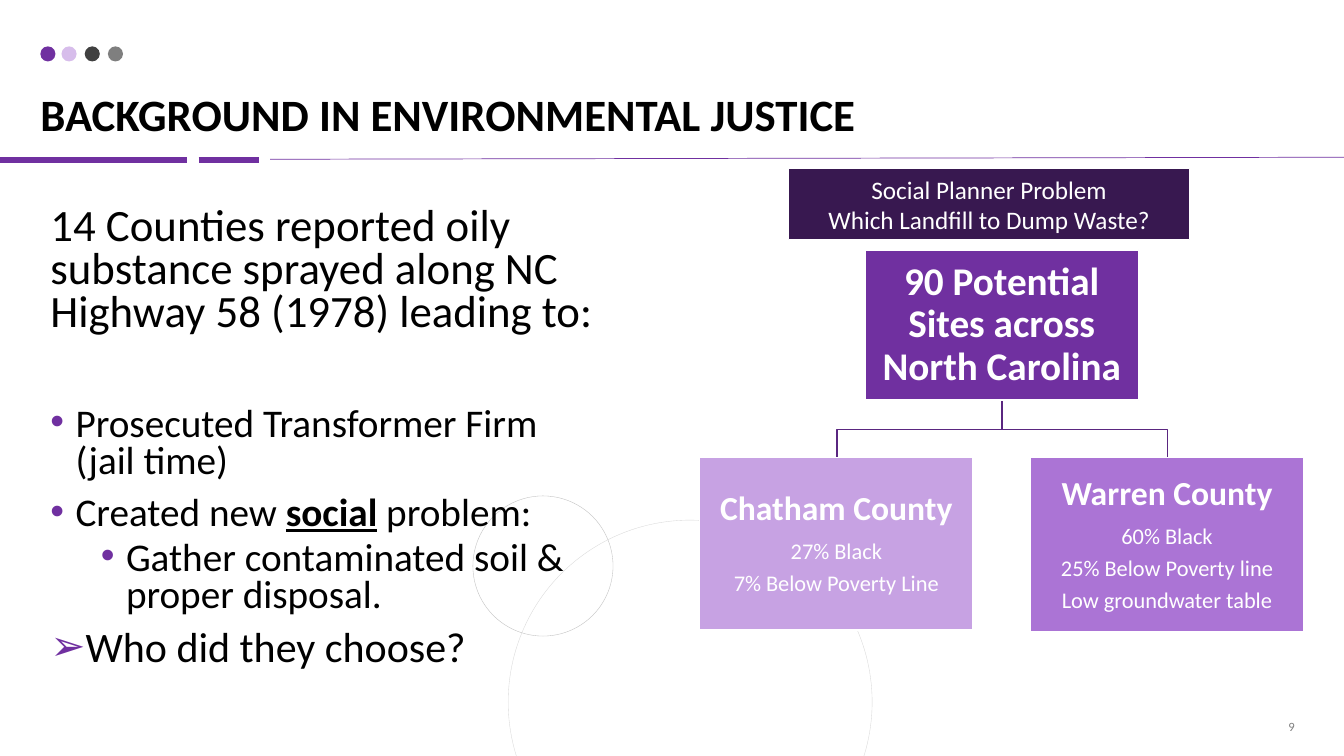
"""Build the slide on the background of environmental justice."""
from dataclasses import dataclass

from lxml import etree
from pptx import Presentation
from pptx.dml.color import RGBColor
from pptx.enum.shapes import MSO_CONNECTOR, MSO_SHAPE
from pptx.enum.text import MSO_ANCHOR, MSO_AUTO_SIZE, PP_ALIGN
from pptx.oxml.ns import qn
from pptx.util import Inches, Pt

STRAIGHT = MSO_CONNECTOR.STRAIGHT
RECTANGLE, OVAL = MSO_SHAPE.RECTANGLE, MSO_SHAPE.OVAL
MIDDLE, BOTTOM = MSO_ANCHOR.MIDDLE, MSO_ANCHOR.BOTTOM
NO_FIT = MSO_AUTO_SIZE.NONE
LEFT, CENTER, RIGHT = PP_ALIGN.LEFT, PP_ALIGN.CENTER, PP_ALIGN.RIGHT


@dataclass(frozen=True)
class Theme:
    font: str = "Calibri"
    black: str = "000000"
    white: str = "FFFFFF"
    purple: str = "7030A0"
    deep_purple: str = "381850"
    branch: str = "5A2680"
    lilac: str = "C7A2E3"
    orchid: str = "AB74D5"
    charcoal: str = "404040"
    gray: str = "7F7F7F"
    ring: str = "BFBFBF"
    pale_ring: str = "D9D9D9"
    title: int = 32
    lead: int = 32
    question: int = 30
    bullet: int = 28
    sites: int = 28
    county: int = 24
    planner: int = 18
    fact: int = 16
    number: int = 9


THEME = Theme()


def add_figure(kind, box, fill=None, line=None, width=1):
    figure = slide.shapes.add_shape(kind, *map(Inches, box))
    figure.shadow.inherit = False
    if fill:
        figure.fill.solid()
        figure.fill.fore_color.rgb = RGBColor.from_string(fill)
    else:
        figure.fill.background()
    if line:
        figure.line.color.rgb = RGBColor.from_string(line)
        figure.line.width = Pt(width)
    else:
        figure.line.fill.background()
    return figure


def style(paragraph, size, color, align, spacing=1.0, bold=False):
    paragraph.alignment = align
    paragraph.line_spacing = spacing
    paragraph.font.name = THEME.font
    paragraph.font.size = Pt(size)
    paragraph.font.bold = bold
    paragraph.font.color.rgb = RGBColor.from_string(color)


presentation = Presentation()
presentation.slide_width = Inches(13.33)
presentation.slide_height = Inches(7.5)
slide = presentation.slides.add_slide(presentation.slide_layouts[1])

for start, end, width in [
    ((0, 1.59), (1.85, 1.59), 4.5),
    ((1.97, 1.59), (2.57, 1.59), 4.5),
    ((2.68, 1.58), (13.33, 1.56), 0.5),
]:
    rule = slide.shapes.add_connector(STRAIGHT, *map(Inches, start + end))
    rule.line.color.rgb = RGBColor.from_string(THEME.purple)
    rule.line.width = Pt(width)
    etree.SubElement(rule.element.spPr, qn("a:effectLst"))

for left, color in [
    (0.4, THEME.purple),
    (0.61, THEME.lilac),
    (0.84, THEME.charcoal),
    (1.07, THEME.gray),
]:
    dot = add_figure(OVAL, (left, 0.46, 0.15, 0.15), color)
    if color == THEME.lilac:
        dot_color = dot.element.spPr.find(".//" + qn("a:srgbClr"))
        etree.SubElement(dot_color, qn("a:alpha"), val="70000")

add_figure(OVAL, (5.04, 5.16, 3.61, 3.61), line=THEME.pale_ring, width=0.25)
add_figure(OVAL, (4.69, 4.92, 1.39, 1.39), line=THEME.ring, width=0.25)

title = slide.shapes.title
body = slide.placeholders[1]
for placeholder, box in [
    (body, (0.4, 2, 5.67, 5.07)),
    (title, (0.4, 0.27, 12.54, 1.13)),
]:
    placeholder.left, placeholder.top, placeholder.width, placeholder.height = map(Inches, box)
    placeholder.text_frame.auto_size = NO_FIT
    placeholder.element.getparent().append(placeholder.element)

heading = title.text_frame
heading.text = "BACKGROUND IN ENVIRONMENTAL JUSTICE"
heading.vertical_anchor = BOTTOM
heading.margin_left = heading.margin_top = heading.margin_right = heading.margin_bottom = 0
style(heading.paragraphs[0], THEME.title, THEME.black, LEFT, 0.9, True)

story = body.text_frame
for index, (parts, size, level, mark, before) in enumerate([
    (["14 Counties reported oily substance sprayed along NC Highway 58 (1978) leading to:"],
     THEME.lead, 0, None, 0),
    (["Prosecuted Transformer Firm (jail time)"], THEME.bullet, 0, "•", 51),
    (["Created new ", "social", " problem:"], THEME.bullet, 0, "•", 10),
    (["Gather contaminated soil & proper disposal."], THEME.bullet, 1, "•", 5),
    (["Who did they choose?"], THEME.question, 0, "➢", 10),
]):
    paragraph = story.paragraphs[0] if index == 0 else story.add_paragraph()
    paragraph.level = level
    properties = paragraph._p.get_or_add_pPr()
    if mark:
        properties.set("marL", str(Inches(0.25 + 0.5 * level)))
        properties.set("indent", str(Inches(-0.25)))
        bullet_color = etree.SubElement(properties, qn("a:buClr"))
        etree.SubElement(bullet_color, qn("a:srgbClr"), val=THEME.purple)
        etree.SubElement(properties, qn("a:buFont"), typeface="Arial")
        etree.SubElement(properties, qn("a:buChar"), char=mark)
    else:
        properties.set("marL", "0")
        properties.set("indent", "0")
        etree.SubElement(properties, qn("a:buNone"))
    for part in parts:
        run = paragraph.add_run()
        run.text = part
        if part == "social":
            run.font.bold = run.font.underline = True
    style(paragraph, size, THEME.black, LEFT, 0.8)
    paragraph.space_before = Pt(before)

number_box = slide.shapes.add_textbox(*map(Inches, (9.94, 7.07, 3, 0.27)))
number_box.text_frame.word_wrap = True
number_box.text_frame.vertical_anchor = MIDDLE
number_box.text_frame.text = "9"
style(number_box.text_frame.paragraphs[0], THEME.number, THEME.gray, RIGHT)

root_x, root_bottom, fork_y, county_top = 9.94, 3.97, 4.26, 4.54
for county_x in (11.58, 8.3):
    outline = slide.shapes.build_freeform(Inches(root_x), Inches(root_bottom))
    corners = [(root_x, fork_y), (county_x, fork_y), (county_x, county_top)]
    outline.add_line_segments([(Inches(x), Inches(y)) for x, y in corners], close=False)
    branch = outline.convert_to_shape()
    branch.shadow.inherit = False
    branch.fill.background()
    branch.line.color.rgb = RGBColor.from_string(THEME.branch)
    branch.line.width = Pt(1)

for box, fill, head, head_size, facts in [
    ((8.58, 2.48, 2.71, 1.49), THEME.purple,
     "90 Potential Sites across North Carolina", THEME.sites, []),
    ((6.94, county_top, 2.71, 1.71), THEME.lilac, "Chatham County", THEME.county,
     ["27% Black", "7% Below Poverty Line"]),
    ((10.22, county_top, 2.71, 1.73), THEME.orchid, "Warren County", THEME.county,
     ["60% Black", "25% Below Poverty line", "Low groundwater table"]),
]:
    node = add_figure(RECTANGLE, box, fill, THEME.white).text_frame
    node.word_wrap = True
    node.vertical_anchor = MIDDLE
    node.margin_left = node.margin_top = node.margin_right = node.margin_bottom = Inches(0.02)
    node.text = "\n".join([head, *facts])
    for index, paragraph in enumerate(node.paragraphs):
        size = THEME.fact if index else head_size
        style(paragraph, size, THEME.white, CENTER, 0.9, index == 0)
        paragraph.space_after = Pt(0.35 * size)

planner = add_figure(RECTANGLE, (7.82, 1.67, 3.98, 0.71), THEME.deep_purple, THEME.white, 0.75)
planner.text_frame.word_wrap = True
planner.text_frame.vertical_anchor = MIDDLE
planner.text_frame.text = "Social Planner Problem\nWhich Landfill to Dump Waste?"
for paragraph in planner.text_frame.paragraphs:
    style(paragraph, THEME.planner, THEME.white, CENTER)

presentation.save("out.pptx")
